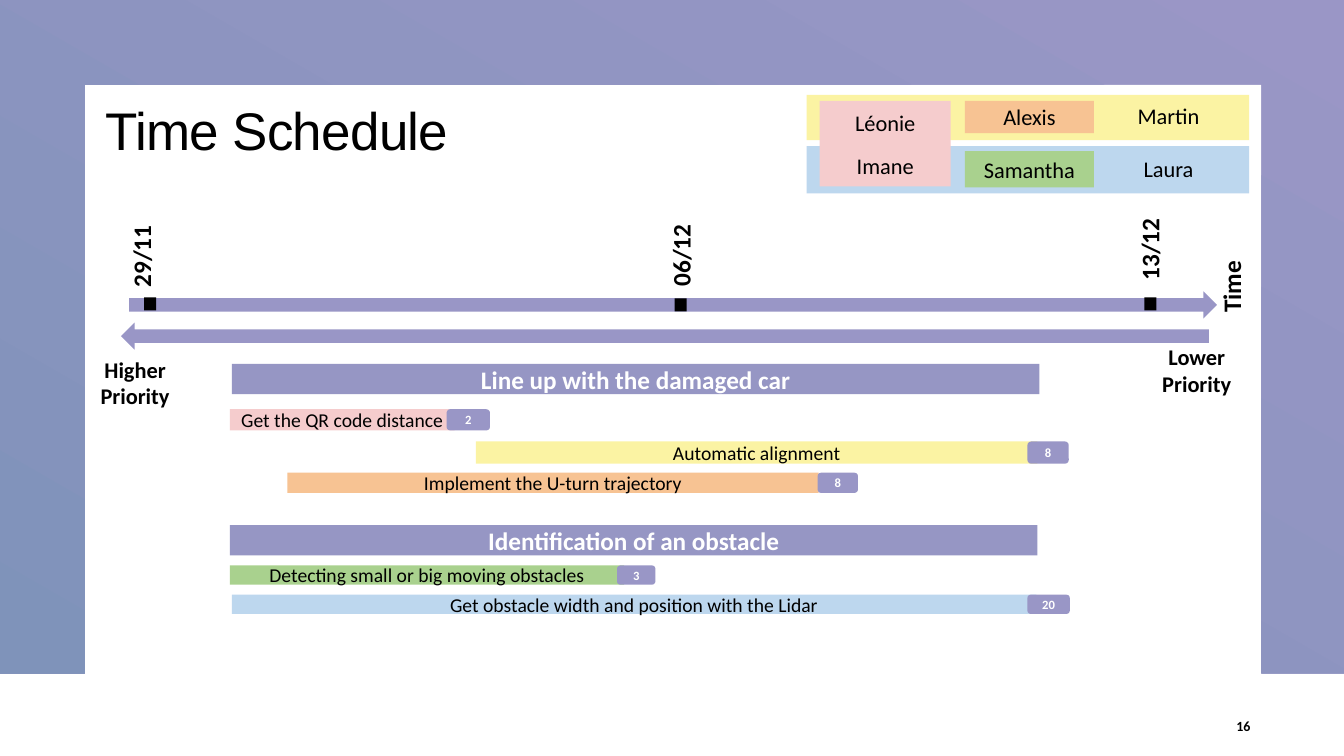
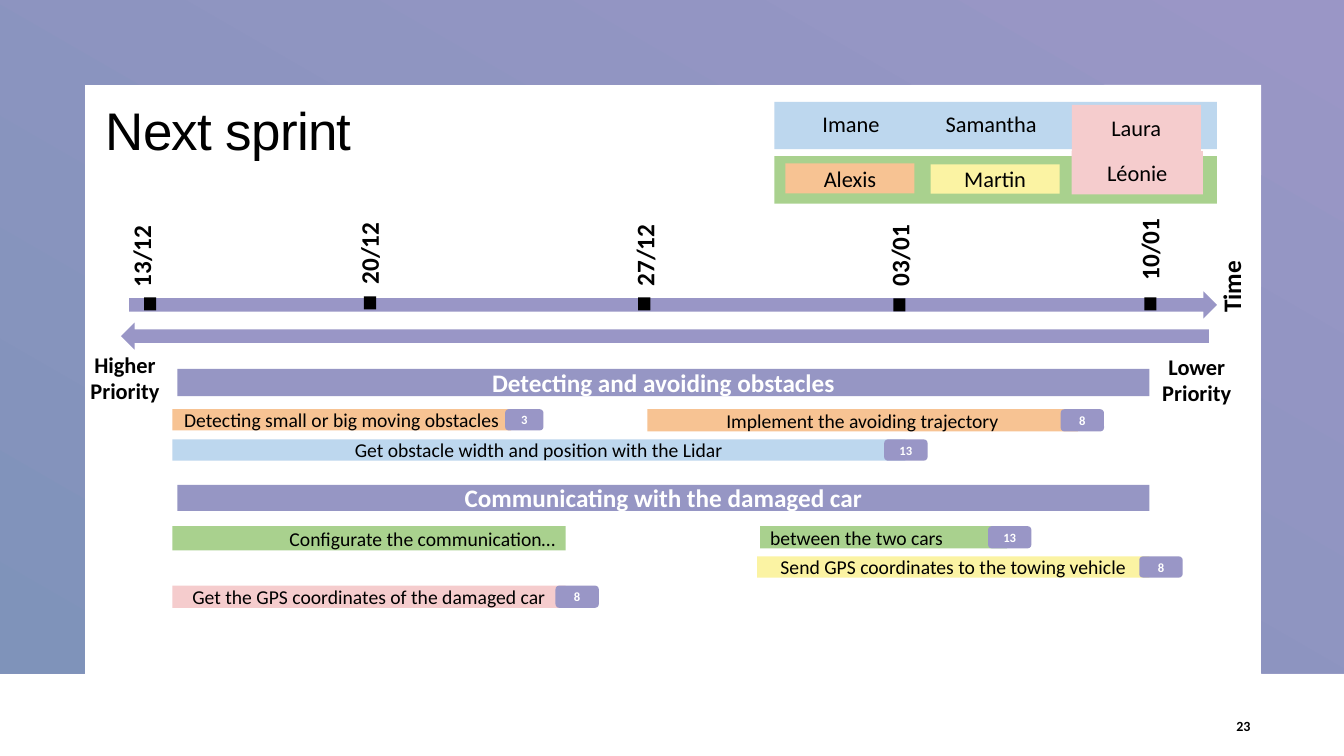
from dataclasses import dataclass
from typing import NamedTuple, Optional

from pptx import Presentation
from pptx.dml.color import RGBColor as RGB
from pptx.enum.shapes import MSO_SHAPE as SHAPE
from pptx.enum.text import MSO_ANCHOR as ANCHOR, PP_ALIGN as ALIGN
from pptx.util import Emu, Pt

EMU_PER_PX = 9144
SLIDE_W, SLIDE_H = 1333, 750


@dataclass(frozen=True)
class Theme:
    """Colours, fonts and type sizes of the deck."""
    black: str = "000000"
    white: str = "FFFFFF"
    purple: str = "9996C6"
    header: str = "9696C4"
    grad_start: str = "9A96C6"
    grad_end: str = "7F93BA"
    yellow: str = "FBF3A3"
    blue: str = "BDD7EE"
    green: str = "A9D18E"
    pink: str = "F5CCCD"
    orange: str = "F7C393"
    title_font: str = "Arial"
    body_font: str = "Calibri"
    title: float = 37.8
    heading: int = 18
    label: int = 16
    task: int = 14
    number: int = 10
    badge: int = 9


T = Theme()


class Box(NamedTuple):
    """Left, top, width and height in px."""
    x: int
    y: int
    w: int
    h: int


class Band(NamedTuple):
    """Coloured strip, chip or heading with optional text."""
    box: Box
    color: str
    text: str = ""


class Milestone(NamedTuple):
    """Date on the time axis: marker corner and label centre."""
    text: str
    marker_x: int
    marker_y: int
    label_x: int
    label_y: int


class Task(NamedTuple):
    """Task bar with an optional points badge at its end."""
    text: str
    box: Box
    color: str
    points: str = ""
    badge_x: int = 0
    badge_w: int = 43
    align: ALIGN = ALIGN.CENTER


@dataclass(frozen=True)
class Schedule:
    """Content of one schedule slide."""
    title: str
    number: str
    legend: list[Band]
    milestones: list[Milestone]
    higher: Box
    lower: Box
    epics: list[Band]
    tasks: list[Task]


def px(n: int) -> Emu:
    """Turn px into EMU."""
    return Emu(n * EMU_PER_PX)


def write(shape, text: str, *, size: float, font: str = T.body_font,
          color: str = T.black, bold: bool = False,
          align: ALIGN = ALIGN.CENTER, anchor: ANCHOR = ANCHOR.MIDDLE,
          line_spacing: Optional[float] = None, tracking: int = 0) -> None:
    """Put one formatted paragraph in a shape."""
    tf = shape.text_frame
    tf.word_wrap = True
    tf.vertical_anchor = anchor
    p = tf.paragraphs[0]
    p.alignment = align
    if line_spacing:
        p.line_spacing = line_spacing
    r = p.add_run()
    r.text = text
    r.font.size = Pt(size)
    r.font.name = font
    r.font.bold = bold
    r.font.color.rgb = RGB.from_string(color)
    if tracking:
        r.font._element.set("spc", str(tracking))


def add_block(s, box: Box, color: str, kind: SHAPE = SHAPE.RECTANGLE):
    """Add a flat filled shape without an outline."""
    sp = s.shapes.add_shape(kind, *map(px, box))
    sp.shadow.inherit = False
    sp.fill.solid()
    sp.fill.fore_color.rgb = RGB.from_string(color)
    sp.line.fill.background()
    return sp


def add_text(s, box: Box, text: str, rotation: int = 0, **fmt) -> None:
    """Add a text box, turned if asked."""
    sp = s.shapes.add_textbox(*map(px, box))
    sp.rotation = rotation
    write(sp, text, **fmt)


def add_frame(s) -> None:
    """Draw the gradient frame around the content area."""
    left, right, top, bottom = 84, 1251, 84, 668
    fb = s.shapes.build_freeform(0, 0, scale=EMU_PER_PX)
    fb.add_line_segments([
        (SLIDE_W, 0), (SLIDE_W, bottom), (right, bottom), (right, top),
        (left, top), (left, bottom), (0, bottom)], close=True)
    sp = fb.convert_to_shape()
    sp.shadow.inherit = False
    sp.line.fill.background()
    sp.fill.gradient()
    sp.fill.gradient_angle = 240
    for stop, color in zip(sp.fill.gradient_stops, (T.grad_start, T.grad_end)):
        stop.color.rgb = RGB.from_string(color)


def add_bands(s, bands: list[Band], **fmt) -> None:
    """Draw strips, with their text where they have one."""
    for band in bands:
        sp = add_block(s, band.box, band.color)
        if band.text:
            write(sp, band.text, **fmt)


def add_vertical_label(s, text: str, cx: int, cy: int) -> None:
    """Add a label that reads upwards around a centre point."""
    w, h = 134, 40
    add_text(s, Box(cx - w // 2, cy - h // 2, w, h), text, rotation=270,
             size=T.heading, bold=True, align=ALIGN.LEFT, anchor=ANCHOR.TOP)


def add_axes(s, plan: Schedule) -> None:
    """Draw the time and priority arrows with their labels."""
    add_block(s, Box(120, 320, 1079, 27), T.purple, SHAPE.LEFT_ARROW)
    add_block(s, Box(128, 289, 1079, 27), T.purple, SHAPE.RIGHT_ARROW)
    add_vertical_label(s, "Time", 1221, 253)
    for m in plan.milestones:
        add_block(s, Box(m.marker_x, m.marker_y, 12, 13), T.black)
        add_vertical_label(s, m.text, m.label_x, m.label_y)
    for box, text in ((plan.higher, "Higher Priority"),
                      (plan.lower, "Lower Priority")):
        add_text(s, box, text, size=T.label, bold=True, anchor=ANCHOR.TOP)


def add_task(s, task: Task) -> None:
    """Draw a task bar and its badge."""
    write(add_block(s, task.box, task.color), task.text,
          size=T.task, align=task.align)
    if task.points:
        box = task.box._replace(x=task.badge_x, w=task.badge_w)
        write(add_block(s, box, T.purple, SHAPE.ROUNDED_RECTANGLE),
              task.points, size=T.badge, color=T.white, bold=True)


def add_schedule(prs, plan: Schedule) -> None:
    """Build one schedule slide."""
    s = prs.slides.add_slide(prs.slide_layouts[6])
    add_frame(s)
    add_text(s, Box(95, 96, 487, 75), plan.title, size=T.title,
             font=T.title_font, align=ALIGN.LEFT, anchor=ANCHOR.TOP,
             line_spacing=0.95, tracking=-50)
    add_bands(s, plan.legend, size=T.label)
    add_axes(s, plan)
    add_bands(s, plan.epics, size=T.heading, color=T.white, bold=True)
    for task in plan.tasks:
        add_task(s, task)
    add_text(s, Box(1192, 700, 58, 40), plan.number, size=T.number,
             bold=True, align=ALIGN.RIGHT)


SCHEDULES = [
    Schedule(
        title="Time Schedule",
        number="16",
        legend=[
            Band(Box(800, 94, 439, 45), T.yellow),
            Band(Box(800, 145, 439, 47), T.blue),
            Band(Box(813, 100, 130, 44), T.pink, "Léonie"),
            Band(Box(813, 144, 130, 41), T.pink, "Imane"),
            Band(Box(957, 100, 128, 32), T.orange, "Alexis"),
            Band(Box(957, 150, 128, 36), T.green, "Samantha"),
            Band(Box(1095, 100, 128, 29), T.yellow, "Martin"),
            Band(Box(1095, 150, 128, 35), T.blue, "Laura"),
        ],
        milestones=[
            Milestone("29/11", 143, 295, 140, 228),
            Milestone("06/12", 669, 296, 675, 227),
            Milestone("13/12", 1135, 295, 1140, 221),
        ],
        higher=Box(88, 348, 92, 64),
        lower=Box(1141, 336, 92, 64),
        epics=[
            Band(Box(230, 361, 801, 30), T.header, "Line up with the damaged car"),
            Band(Box(228, 521, 801, 30), T.header, "Identification of an obstacle"),
        ],
        tasks=[
            Task("Get the QR code distance", Box(228, 406, 223, 21),
                 T.pink, "2", 443),
            Task("Automatic alignment", Box(472, 438, 557, 22),
                 T.yellow, "8", 1019, 41),
            Task("Implement the U-turn trajectory", Box(285, 469, 527, 20),
                 T.orange, "8", 811, 40),
            Task("Detecting small or big moving obstacles",
                 Box(228, 561, 391, 19), T.green, "3", 612, 38),
            Task("Get obstacle width and position with the Lidar",
                 Box(230, 590, 798, 19), T.blue, "20", 1019, 42),
        ],
    ),
    Schedule(
        title="Next sprint",
        number="23",
        legend=[
            Band(Box(768, 101, 439, 47), T.blue),
            Band(Box(768, 155, 439, 47), T.green),
            Band(Box(779, 105, 130, 36), T.blue, "Imane"),
            Band(Box(919, 105, 128, 36), T.blue, "Samantha"),
            Band(Box(1063, 104, 128, 46), T.pink, "Laura"),
            Band(Box(779, 162, 128, 30), T.orange, "Alexis"),
            Band(Box(923, 163, 128, 29), T.yellow, "Martin"),
            Band(Box(1063, 150, 130, 43), T.pink, "Léonie"),
        ],
        milestones=[
            Milestone("13/12", 143, 295, 140, 228),
            Milestone("20/12", 361, 294, 366, 225),
            Milestone("27/12", 633, 295, 639, 227),
            Milestone("03/01", 886, 296, 892, 227),
            Milestone("10/01", 1135, 295, 1140, 221),
        ],
        higher=Box(78, 343, 92, 64),
        lower=Box(1141, 345, 92, 64),
        epics=[
            Band(Box(176, 366, 964, 27), T.header,
                 "Detecting and avoiding obstacles"),
            Band(Box(176, 481, 964, 26), T.header,
                 "Communicating with the damaged car"),
        ],
        tasks=[
            Task("Detecting small or big moving obstacles",
                 Box(171, 406, 336, 21), T.orange, "3", 501, 38),
            Task("Implement the avoiding trajectory",
                 Box(642, 406, 427, 22), T.orange, "8", 1052),
            Task("Get obstacle width and position with the Lidar",
                 Box(171, 436, 727, 21), T.blue, "13", 877),
            Task("Configurate the communication…",
                 Box(171, 522, 390, 24), T.green, align=ALIGN.RIGHT),
            Task("between the two cars", Box(754, 522, 245, 22),
                 T.green, "13", 980, align=ALIGN.LEFT),
            Task("Send GPS coordinates to the towing vehicle",
                 Box(751, 552, 389, 21), T.yellow, "8", 1130),
            Task("Get the GPS coordinates of the damaged car",
                 Box(171, 581, 390, 22), T.pink, "8", 551),
        ],
    ),
]


def main() -> None:
    """Build and save the deck."""
    prs = Presentation()
    prs.slide_width, prs.slide_height = px(SLIDE_W), px(SLIDE_H)
    for plan in SCHEDULES:
        add_schedule(prs, plan)
    prs.save("out.pptx")


if __name__ == "__main__":
    main()
